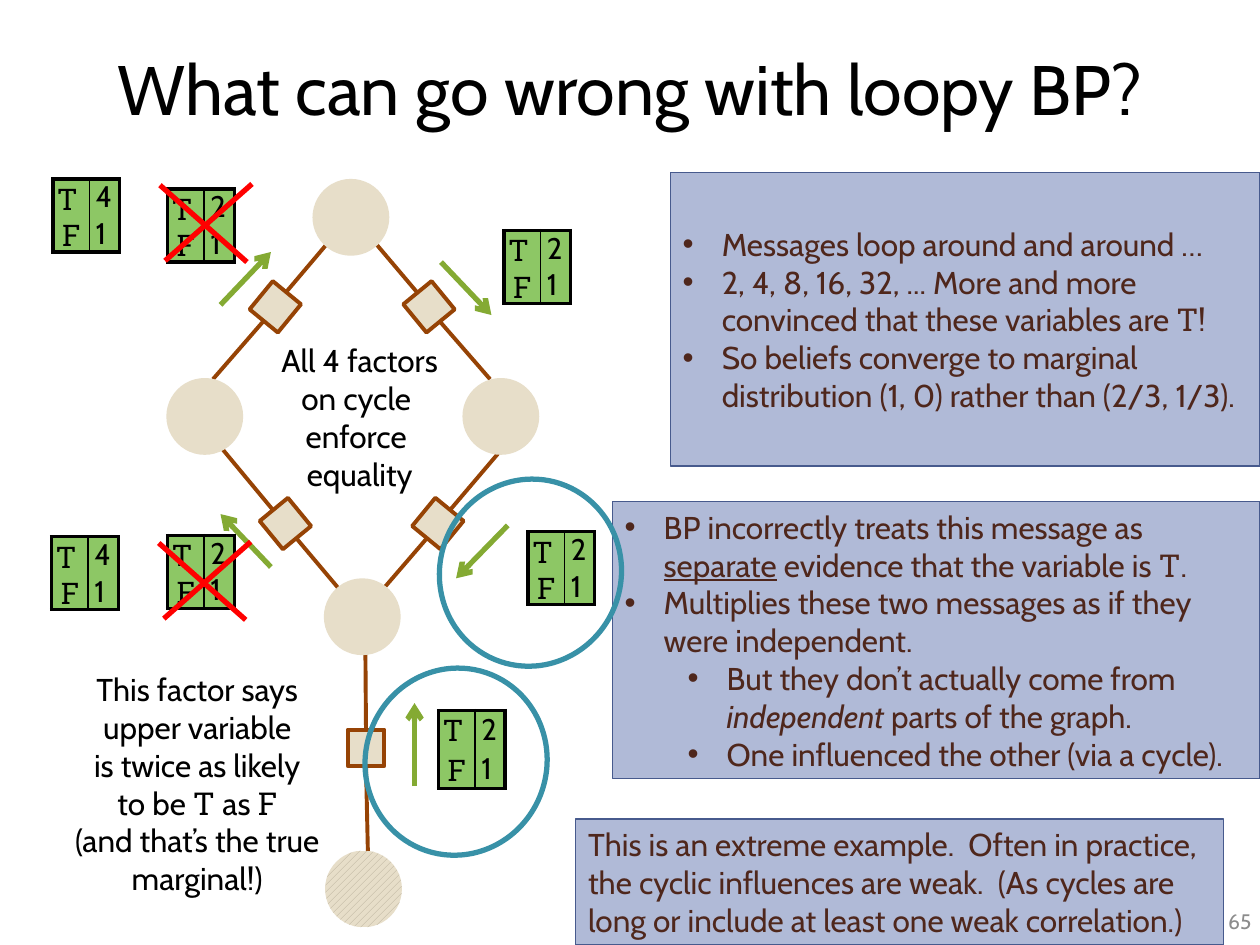
import pptx
import pptx.dml.color
import pptx.enum.dml
import pptx.enum.shapes
import pptx.enum.text
import pptx.oxml
import pptx.oxml.ns
import pptx.util

Inches = pptx.util.Inches
Pt = pptx.util.Pt
SHAPE = pptx.enum.shapes.MSO_SHAPE
ALIGN = pptx.enum.text.PP_ALIGN
ANCHOR = pptx.enum.text.MSO_ANCHOR
CABIN, SLAB = "Cabin", "Roboto Slab"
BLACK, BROWN, SAND, EDGE = "000000", "4F271C", "E7DEC9", "964305"
RED, GREEN, TEAL = "FF0000", "84AA33", "3891A7"


def rgb(color):
    """Turn a hex string into a colour."""
    return pptx.dml.color.RGBColor.from_string(color)


def add_xml(parent, xml):
    """Append an element of the drawing namespace and return it."""
    tag, rest = xml.split(" ", 1)
    el = pptx.oxml.parse_xml(f"<a:{tag} {pptx.oxml.ns.nsdecls('a')} {rest}")
    parent.append(el)
    return el


def add_run(p, text, size=18, color=BLACK, font=CABIN, italic=None, underline=None):
    """Add one formatted run."""
    r = p.add_run()
    r.text = text
    r.font.size, r.font.name = Pt(size), font
    r.font.color.rgb = rgb(color)
    r.font.italic, r.font.underline = italic, underline


def add_runs(p, runs, **style):
    """Add plain strings, or (string, extra style) pairs, as runs."""
    for run in runs:
        text, extra = (run, {}) if isinstance(run, str) else run
        add_run(p, text, **{**style, **extra})


def add_shape(s, kind, at, fill=None, line=None, width=2.25, rotation=0):
    """Add a preset shape with optional fill and outline."""
    sp = s.shapes.add_shape(kind, *map(Inches, at))
    sp.shadow.inherit = False
    sp.rotation = rotation
    if fill:
        sp.fill.solid()
        sp.fill.fore_color.rgb = rgb(fill)
    else:
        sp.fill.background()
    if line:
        sp.line.color.rgb, sp.line.width = rgb(line), Pt(width)
    else:
        sp.line.fill.background()
    return sp


def add_line(s, start, end, color, width=3, arrow=False):
    """Add a straight line, with an arrowhead at its end if asked."""
    c = s.shapes.add_connector(pptx.enum.shapes.MSO_CONNECTOR.STRAIGHT,
                               *map(Inches, (*start, *end)))
    c.line.color.rgb, c.line.width = rgb(color), Pt(width)
    if arrow:
        add_xml(c.line._get_or_add_ln(), 'tailEnd type="arrow"/>')
    add_xml(c._element.spPr, "effectLst />")
    return c


def add_factor(s, at, rotation, upper, lower):
    """Add a square factor with edges from two variables, each (start, end)."""
    sp = add_shape(s, SHAPE.RECTANGLE, (*at, 0.29, 0.29), SAND, EDGE, rotation=rotation)
    edges = [add_line(s, *ends, EDGE, 2.25) for ends in (upper, lower)]
    if not rotation:
        edges[0].end_connect(sp, 0)
        edges[1].begin_connect(sp, 2)


def add_variable(s, left, top):
    """Add a round variable node."""
    return add_shape(s, SHAPE.OVAL, (left, top, 0.61, 0.61), SAND)


def add_ring(s, left, top):
    """Circle a message with an outlined ellipse."""
    add_shape(s, SHAPE.OVAL, (left, top, 1.44, 1.49), None, TEAL, 3, 18.7)


def add_cross(s, left, top):
    """Cross out a message."""
    add_line(s, (left, top + 0.01), (left + 0.69, top + 0.62), RED)
    add_line(s, (left + 0.73, top), (left + 0.04, top + 0.61), RED)


def add_border(cell, side, width):
    """Draw one cell border, or hide it when the width is zero."""
    fill = f'<a:solidFill><a:srgbClr val="{BLACK}"/></a:solidFill>' if width else "<a:noFill/>"
    add_xml(cell._tc.get_or_add_tcPr(), f'ln{side} w="{Pt(width)}">{fill}</a:ln{side}>')


def add_message(s, left, top, true_value, row_height=0.29):
    """Add a two-row message table for T and F."""
    table = s.shapes.add_table(2, 2, Inches(left), Inches(top), Inches(0.53),
                               Inches(2 * row_height)).table
    table.first_row = table.horz_banding = False
    for i, width in enumerate((0.29, 0.24)):
        table.columns[i].width = Inches(width)
    for i, row in enumerate((("T ", true_value), ("F", "1"))):
        table.rows[i].height = Inches(row_height)
        for j, text in enumerate(row):
            cell = table.cell(i, j)
            cell.margin_left = Inches(0.05 * j)
            cell.margin_right = cell.margin_top = cell.margin_bottom = 0
            cell.vertical_anchor = ANCHOR.MIDDLE
            widths = ((2.25, 1)[j], (1, 2.25)[j], (2.25, 0)[i], (0, 2.25)[i])
            for side, border in zip("LRTB", widths):
                add_border(cell, side, border)
            cell.fill.solid()
            cell.fill.fore_color.rgb = rgb("8DC765")
            p = cell.text_frame.paragraphs[0]
            p.alignment = (ALIGN.CENTER, ALIGN.LEFT)[j]
            add_xml(p._p.get_or_add_pPr(), 'spcBef ><a:spcPct val="20000"/></a:spcBef>')
            add_run(p, text, 17, font=(SLAB, CABIN)[j])


def add_panel(s, at, paragraphs, bullets=True):
    """Add a blue panel of (level, runs) paragraphs."""
    sp = add_shape(s, SHAPE.RECTANGLE, at, "B0BAD7", "475A8D", 0.75)
    tf = sp.text_frame
    tf.word_wrap, tf.vertical_anchor = True, ANCHOR.MIDDLE
    for i, (level, runs) in enumerate(paragraphs):
        p = tf.add_paragraph() if i else tf.paragraphs[0]
        p.alignment, p.level = ALIGN.LEFT, level
        if bullets:
            pPr = p._p.get_or_add_pPr()
            pPr.set("marL", str(Inches(0.31 + 0.5 * level)))
            pPr.set("indent", str(Inches(-0.31)))
            add_xml(pPr, 'buFont typeface="Arial"/>')
            add_xml(pPr, 'buChar char="•"/>')
        add_runs(p, runs, color=BROWN)


def add_caption(s, at, lines):
    """Add a centred text box with one list of runs per line."""
    tf = s.shapes.add_textbox(*map(Inches, at)).text_frame
    tf.word_wrap = False
    tf.auto_size = pptx.enum.text.MSO_AUTO_SIZE.SHAPE_TO_FIT_TEXT
    p = tf.paragraphs[0]
    p.alignment = ALIGN.CENTER
    for i, runs in enumerate(lines):
        if i:
            p.add_line_break()
        add_runs(p, runs)


def add_title(s, text):
    """Place and fill the title."""
    sp = s.shapes.title
    sp.left, sp.top, sp.width, sp.height = map(Inches, (0.5, 0.3, 9, 0.79))
    sp.text_frame.vertical_anchor = ANCHOR.MIDDLE
    p = sp.text_frame.paragraphs[0]
    p.alignment = ALIGN.CENTER
    add_run(p, text, 40)


def add_page_number(s, text):
    """Add the page number at the lower right."""
    tf = s.shapes.add_textbox(*map(Inches, (7.7, 7.11, 2.33, 0.4))).text_frame
    tf.word_wrap, tf.vertical_anchor = True, ANCHOR.MIDDLE
    p = tf.paragraphs[0]
    p.alignment = ALIGN.RIGHT
    add_run(p, text, 12, "8C8C8C")


def main():
    """Build the slide."""
    prs = pptx.Presentation()
    prs.slide_width, prs.slide_height = Inches(10), Inches(7.5)
    s = prs.slides.add_slide(prs.slide_layouts[5])
    slab = {"font": SLAB}
    add_title(s, "What can go wrong with loopy BP?")
    add_panel(s, (4.57, 6.5, 5.14, 1), [(0, [
        "This is an extreme example.  Often in practice, the cyclic influences are weak.  "
        "(As cycles are long or include at least one weak correlation.)"])], bullets=False)
    add_panel(s, (4.86, 3.98, 5.14, 2.2), [
        (0, ["BP incorrectly treats this message as ", ("separate", {"underline": True}),
             " evidence that the variable is ", ("T", slab), "."]),
        (0, ["Multiplies these two messages as if they were independent."]),
        (1, ["But they don’t actually come from ", ("independent", {"italic": True}),
             " parts of the graph."]),
        (1, ["One influenced the other (via a cycle)."])])
    add_panel(s, (5.32, 1.37, 4.68, 2.33), [
        (0, ["Messages loop around and around …"]),
        (0, ["2, 4, 8, 16, 32, ... More and more convinced that these variables are ",
             ("T", slab), "!"]),
        (0, ["So beliefs converge to marginal distribution (1, 0) rather than (2/3, 1/3)."])])
    add_page_number(s, "65")
    for factor in (
            ((3.33, 4.01), 39.4, ((3.97, 3.58), (3.57, 4.05)), ((3.39, 4.27), (2.95, 4.78))),
            ((2.12, 4.01), 320.6, ((1.77, 3.57), (2.16, 4.04)), ((2.35, 4.27), (2.78, 4.78))),
            ((3.26, 2.29), 320.6, ((2.87, 1.8), (3.31, 2.32)), ((3.49, 2.55), (3.89, 3.01))),
            ((2.04, 2.29), 39.4, ((2.71, 1.8), (2.27, 2.32)), ((2.09, 2.55), (1.69, 3.01))),
            ((2.76, 5.79), 0, ((2.9, 5.18), (2.9, 5.79)), ((2.9, 6.08), (2.92, 6.76)))):
        add_factor(s, *factor)
    for place in ((2.48, 1.42), (1.32, 3), (3.67, 3), (2.57, 4.59)):
        add_variable(s, *place)
    sp = add_variable(s, 2.58, 6.75)
    sp.fill.patterned()
    sp.fill.pattern = pptx.enum.dml.MSO_PATTERN.WIDE_UPWARD_DIAGONAL
    sp.fill.fore_color.rgb, sp.fill.back_color.rgb = rgb("B5AB97"), rgb(SAND)
    for start, end in (((3.29, 6.24), (3.29, 5.58)), ((4.03, 4.17), (3.62, 4.59)),
                       ((1.75, 2.42), (2.15, 2)), ((3.5, 2.08), (3.9, 2.5)),
                       ((2.15, 4.5), (1.75, 4.08))):
        add_line(s, start, end, GREEN, arrow=True)
    for message in ((3.48, 5.64, "2", 0.31), (4.19, 4.22, "2"), (1.33, 1.5, "2"),
                    (4, 1.83, "2"), (1.33, 4.25, "2"), (0.41, 4.26, "4"), (0.42, 1.42, "4")):
        add_message(s, *message)
    add_caption(s, (2.13, 2.66, 1.45, 1.3),
                [["All 4 factors"], ["on cycle "], ["enforce "], ["equality"]])
    add_caption(s, (0.44, 5.27, 2.25, 1.9), [
        ["This factor says"], ["upper variable"], ["is twice as likely"],
        ["to be ", ("T ", slab), "as ", ("F", slab)], ["(and that’s the true"], ["marginal!)"]])
    for place in ((1.26, 4.3), (1.27, 1.46)):
        add_cross(s, *place)
    for place in ((3.49, 3.8), (2.9, 5.3)):
        add_ring(s, *place)
    prs.save("out.pptx")


if __name__ == "__main__":
    main()
